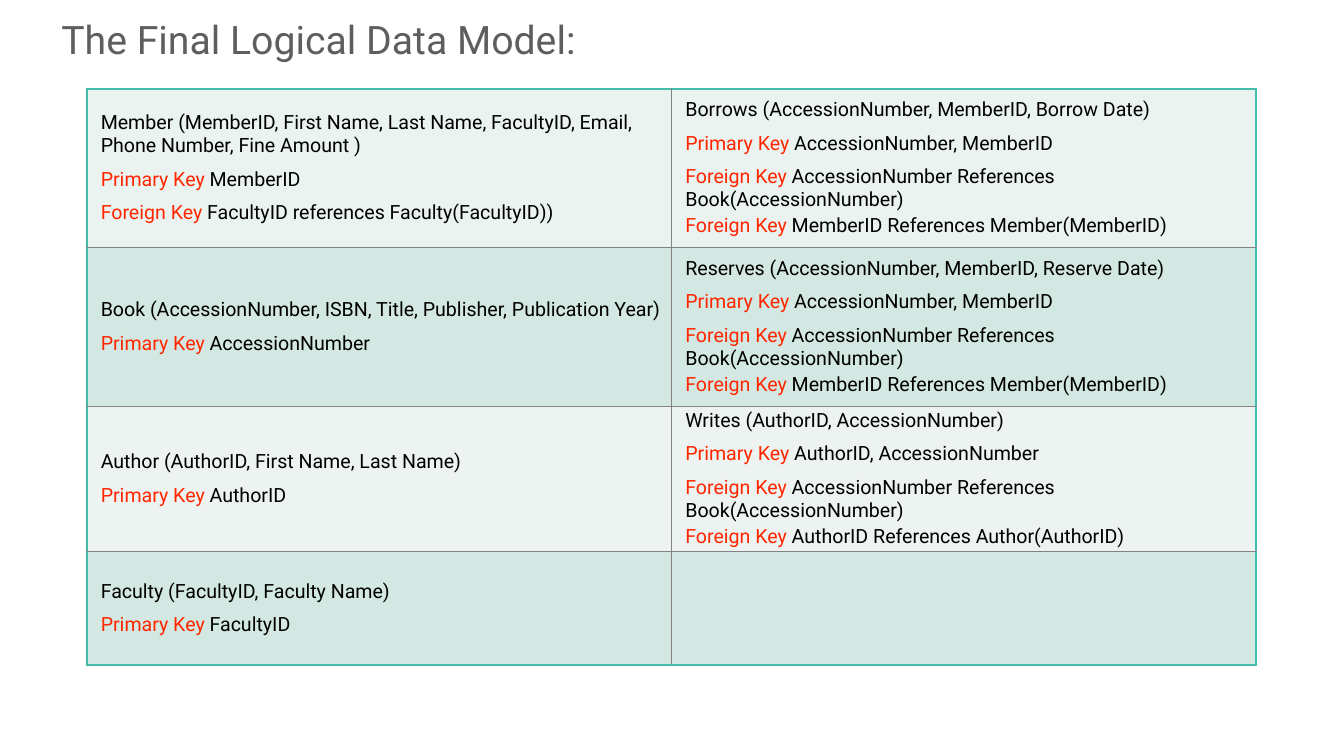
import dataclasses

import lxml.etree
import pptx
import pptx.dml.color
import pptx.enum.text
import pptx.oxml.ns
import pptx.util

Inches = pptx.util.Inches
Pt = pptx.util.Pt


@dataclasses.dataclass(frozen=True)
class Theme:
    """Colours, font and type sizes of the slide."""
    font: str = "Roboto"
    title: str = "5E5E5E"
    ink: str = "000000"
    key: str = "FF2600"
    edge: str = "43BCA9"
    rule: str = "838383"
    fills: tuple = ("EBF3F1", "D4E8E3", "EDF3F1", "D4E8E3")
    head: int = 56
    body: int = 28


THEME = Theme()
PRIME, FOREIGN = "Primary Key ", "Foreign Key "
BOOK = "AccessionNumber References Book(AccessionNumber)"
MEMBER = "MemberID References Member(MemberID)"
LOAN = "AccessionNumber, MemberID"

# Each entry: relation, primary key, foreign keys
ROWS = [
    (("Member (MemberID, First Name, Last Name, FacultyID, Email, "
      "Phone Number, Fine Amount )", "MemberID",
      ["FacultyID references Faculty(FacultyID))"]),
     ("Borrows (AccessionNumber, MemberID, Borrow Date)", LOAN,
      [BOOK, MEMBER])),
    (("Book (AccessionNumber, ISBN, Title, Publisher, Publication Year)",
      "AccessionNumber", []),
     ("Reserves (AccessionNumber, MemberID, Reserve Date)", LOAN,
      [BOOK, MEMBER])),
    (("Author (AuthorID, First Name, Last Name)", "AuthorID", []),
     ("Writes (AuthorID, AccessionNumber)", "AuthorID, AccessionNumber",
      [BOOK, "AuthorID References Author(AuthorID)"])),
    (("Faculty (FacultyID, Faculty Name)", "FacultyID", []), None),
]
TALL = (3.15, 3.15, 2.71, 2.25)


def add_text(para, text, size=THEME.body, color=THEME.ink, font=THEME.font):
    """Add one formatted run to a paragraph."""
    run = para.add_run()
    run.text = text
    run.font.size = Pt(size)
    run.font.name = font
    run.font.color.rgb = pptx.dml.color.RGBColor.from_string(color)


def set_pad(box):
    """Give a cell or text frame its equal margins and middle anchor."""
    for side in ("left", "right", "top", "bottom"):
        setattr(box, "margin_" + side, Inches(0.06))
    box.vertical_anchor = pptx.enum.text.MSO_ANCHOR.MIDDLE


def set_lines(cell, outer):
    """Draw the four borders, heavier on the outer sides."""
    props = cell._tc.get_or_add_tcPr()
    for spot, side in enumerate("LRTB"):
        color, width = (THEME.edge, 3) if side in outer else (THEME.rule, 1)
        line = lxml.etree.Element(pptx.oxml.ns.qn("a:ln" + side),
                                  w=str(Pt(width)))
        fill = lxml.etree.SubElement(line, pptx.oxml.ns.qn("a:solidFill"))
        lxml.etree.SubElement(fill, pptx.oxml.ns.qn("a:srgbClr"), val=color)
        props.insert(spot, line)


def fill_cell(cell, entry):
    """Write a relation and its keys into a cell."""
    name, prime, links = entry
    lines = [("", name), (PRIME, prime)] + [(FOREIGN, link) for link in links]
    frame = cell.text_frame
    for i, (label, text) in enumerate(lines):
        para = frame.add_paragraph() if i else frame.paragraphs[0]
        para.space_before = Pt(5 if i == 3 else 15)
        props = para._p.get_or_add_pPr()
        props.set("marL", str(Inches(0.21)))
        props.set("indent", "0")
        if label:
            add_text(para, label, color=THEME.key)
        add_text(para, text)


def add_grid(slide):
    """Add the table of relations."""
    count = len(ROWS)
    grid = slide.shapes.add_table(count, 2, Inches(1.73), Inches(1.76),
                                  Inches(23.2), Inches(sum(TALL))).table
    grid.first_row = grid.horz_banding = False
    for r, entries in enumerate(ROWS):
        grid.rows[r].height = Inches(TALL[r])
        for c, entry in enumerate(entries):
            cell = grid.cell(r, c)
            set_pad(cell)
            cell.fill.solid()
            cell.fill.fore_color.rgb = pptx.dml.color.RGBColor.from_string(
                THEME.fills[r])
            outer = "LR"[c] + ("T" if r == 0 else "")
            outer += "B" if r == count - 1 else ""
            set_lines(cell, outer)
            if entry:
                fill_cell(cell, entry)


def add_title(slide, text):
    """Add the slide title."""
    box = slide.shapes.add_textbox(Inches(1.1), Inches(0.26),
                                   Inches(10.45), Inches(1.02))
    frame = box.text_frame
    set_pad(frame)
    frame.word_wrap = False
    frame.auto_size = pptx.enum.text.MSO_AUTO_SIZE.SHAPE_TO_FIT_TEXT
    para = frame.paragraphs[0]
    para.alignment = pptx.enum.text.PP_ALIGN.CENTER
    add_text(para, text, size=THEME.head, color=THEME.title)


def main():
    """Build and save the slide."""
    deck = pptx.Presentation()
    deck.slide_width, deck.slide_height = Inches(26.67), Inches(15)
    slide = deck.slides.add_slide(deck.slide_layouts[6])
    add_grid(slide)
    add_title(slide, "The Final Logical Data Model:")
    deck.save("out.pptx")


main()
